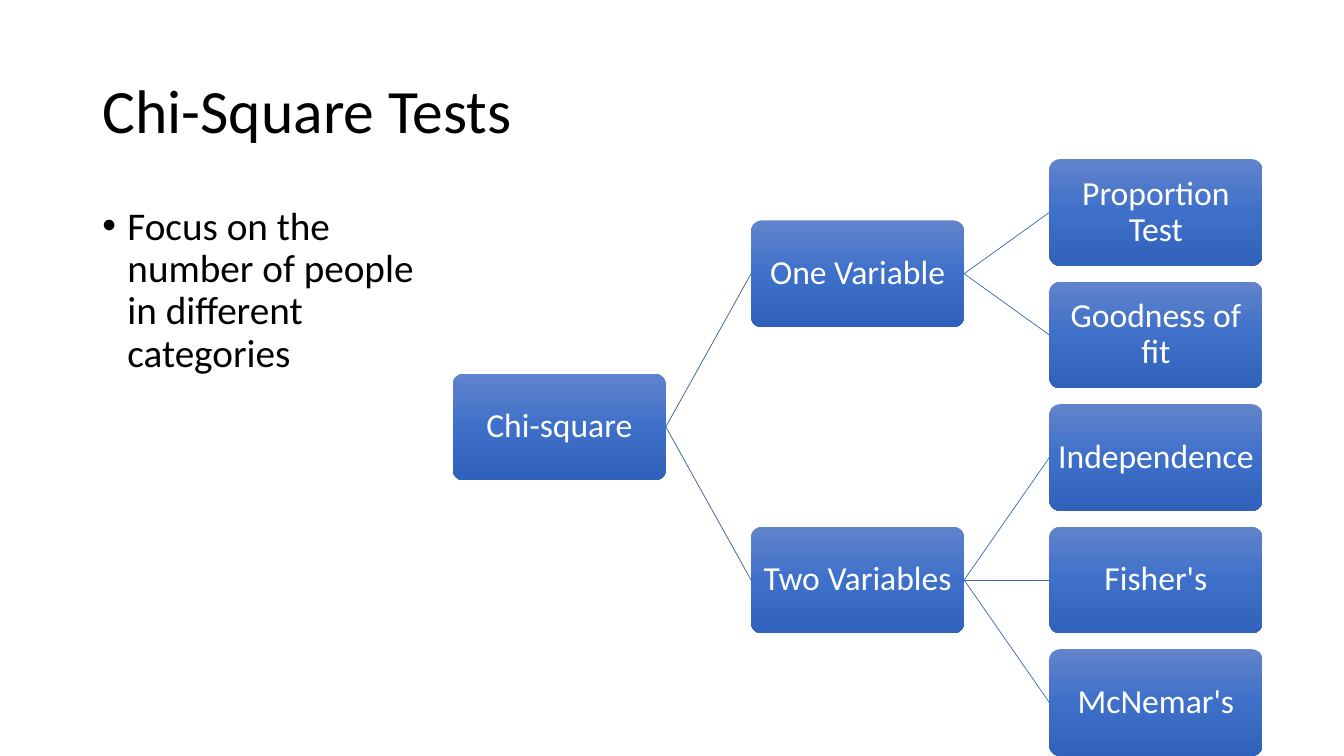
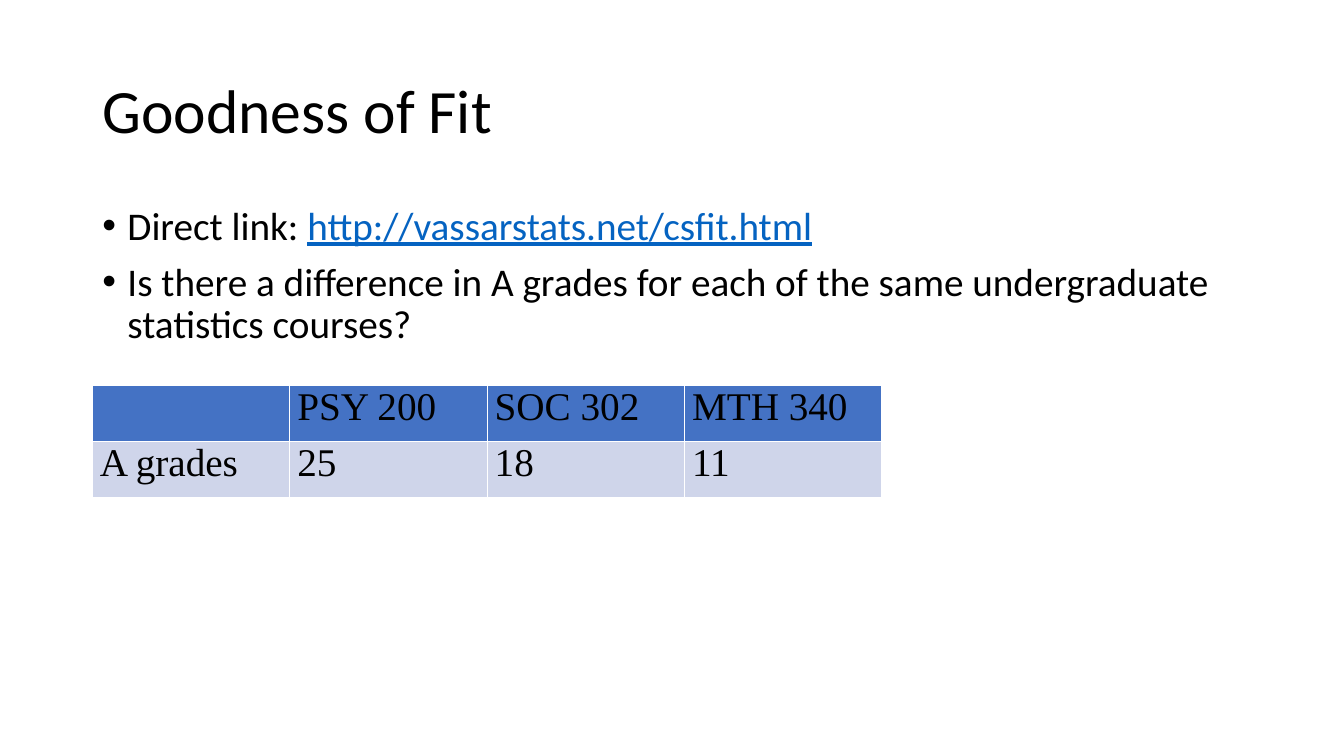
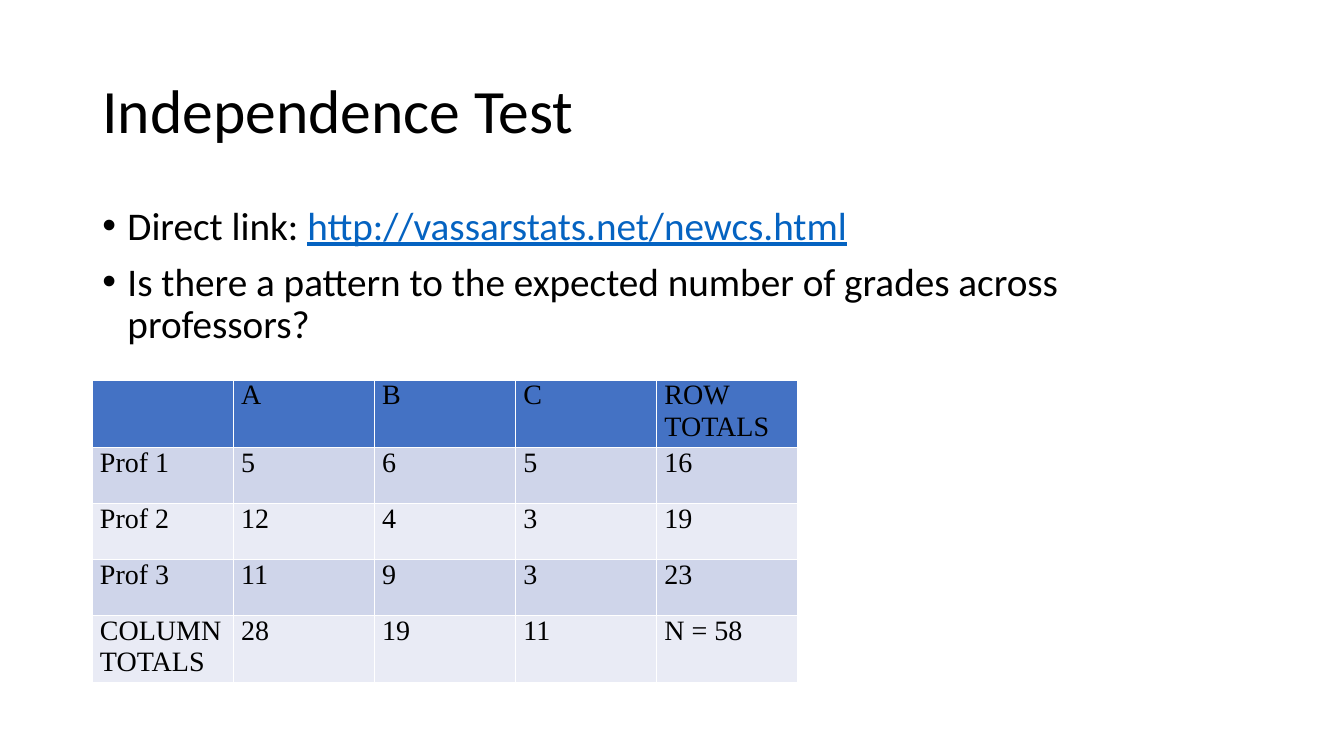
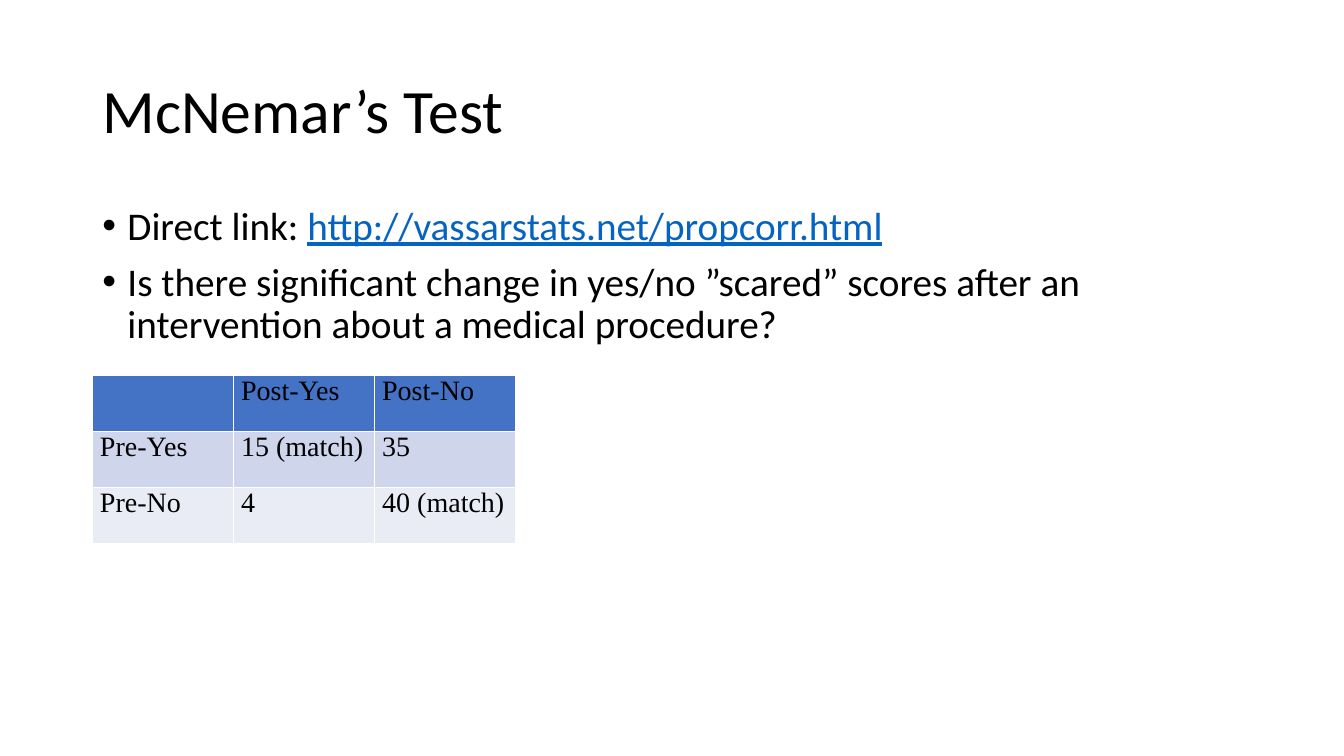
from copy import deepcopy
from dataclasses import dataclass

from lxml.etree import SubElement
from pptx import Presentation
from pptx.dml.color import RGBColor
from pptx.enum.shapes import MSO_CONNECTOR, MSO_SHAPE
from pptx.enum.text import MSO_ANCHOR, MSO_AUTO_SIZE, PP_ALIGN
from pptx.oxml.ns import qn
from pptx.util import Pt


@dataclass(frozen=True)
class Theme:
    text_font: str = "Calibri"
    table_font: str = "Times New Roman"
    title_size: float = 44
    body_size: float = 28
    node_size: float = 24
    black: str = "000000"
    white: str = "FFFFFF"
    link: str = "0563C1"
    header: str = "4472C4"
    bands: tuple = ("CFD5EA", "E9EBF5")
    node_gradient: tuple = ("6183CB", "3E70CA", "3062BB")
    root_line: str = "365B9D"
    leaf_line: str = "3E67B2"
    left: float = 66
    width: float = 828
    line_spacing: float = 0.9


NODE_WIDTH, NODE_HEIGHT = 152.2, 76.1
TREE_LEFT, TREE_TOP = 323.4, 113.7
LEVEL_PITCH = NODE_WIDTH * 1.4
LEAF_PITCH = NODE_HEIGHT * 1.15

TREE = {
    "One Variable": ["Proportion Test", "Goodness of fit"],
    "Two Variables": ["Independence", "Fisher's", "McNemar's"],
}

TEST_SLIDES = [
    dict(
        title="Goodness of Fit",
        address="http://vassarstats.net/csfit.html",
        question="Is there a difference in A grades for each of the same "
                 "undergraduate statistics courses?",
        table=dict(
            rows=[["", "PSY 200", "SOC 302", "MTH 340"],
                  ["A grades", "25", "18", "11"]],
            top=275.2, column_width=141, size=28),
    ),
    dict(
        title="Independence Test",
        address="http://vassarstats.net/newcs.html",
        question="Is there a pattern to the expected number of grades across professors?",
        table=dict(
            rows=[["", "A", "B", "C", "ROW TOTALS"],
                  ["Prof 1", "5", "6", "5", "16"],
                  ["Prof 2", "12", "4", "3", "19"],
                  ["Prof 3", "11", "9", "3", "23"],
                  ["COLUMN TOTALS", "28", "19", "11", "N = 58"]],
            top=271.4, column_width=100.8, size=20),
    ),
    dict(
        title="McNemar’s Test",
        address="http://vassarstats.net/propcorr.html",
        question="Is there significant change in yes/no ”scared” scores after an "
                 "intervention about a medical procedure?",
        table=dict(
            rows=[["", "Post-Yes", "Post-No"],
                  ["Pre-Yes", "15 (match)", "35"],
                  ["Pre-No", "4", "40 (match)"]],
            top=268, column_width=100.8, size=20),
    ),
]


def color(value):
    return RGBColor.from_string(value)


def format_runs(paragraph, name, size, value):
    for run in paragraph.runs:
        run.font.name = name
        run.font.size = Pt(size)
        run.font.bold = False
        run.font.color.rgb = color(value)


def set_margins(box, horizontal, vertical):
    box.margin_left = box.margin_right = Pt(horizontal)
    box.margin_top = box.margin_bottom = Pt(vertical)


class Deck:
    """Holds the theme, the presentation and the slide being filled."""

    def __init__(self, theme):
        self.theme = theme
        self.presentation = Presentation()
        self.presentation.slide_width = Pt(960)
        self.presentation.slide_height = Pt(540)
        self.slide = None

    def add_slide(self, title):
        theme = self.theme
        self.slide = self.presentation.slides.add_slide(self.presentation.slide_layouts[5])
        shape = self.slide.shapes.title
        shape.left, shape.top = Pt(theme.left), Pt(28.75)
        shape.width, shape.height = Pt(theme.width), Pt(104.4)
        frame = shape.text_frame
        frame.text = title
        frame.word_wrap = True
        frame.auto_size = MSO_AUTO_SIZE.NONE
        frame.vertical_anchor = MSO_ANCHOR.MIDDLE
        set_margins(frame, 7.2, 3.6)
        paragraph = frame.paragraphs[0]
        paragraph.alignment = PP_ALIGN.LEFT
        paragraph.line_spacing = theme.line_spacing
        format_runs(paragraph, theme.text_font, theme.title_size, theme.black)

    def add_bullets(self, items, width):
        """Adds bulleted items; returns their paragraphs."""
        theme = self.theme
        box = self.slide.shapes.add_textbox(Pt(theme.left), Pt(143.75), Pt(width), Pt(342.6))
        frame = box.text_frame
        frame.word_wrap = True
        frame.text = "\n".join(items)
        for index, paragraph in enumerate(frame.paragraphs):
            properties = paragraph._p.get_or_add_pPr()
            properties.set("marL", str(Pt(18)))
            properties.set("indent", str(-Pt(18)))
            SubElement(properties, qn("a:buFont"), typeface="Arial")
            SubElement(properties, qn("a:buChar"), char="•")
            paragraph.line_spacing = theme.line_spacing
            paragraph.space_before = Pt(10 if index else 0)
            format_runs(paragraph, theme.text_font, theme.body_size, theme.black)
        return frame.paragraphs

    def add_address(self, paragraph, address):
        theme = self.theme
        run = paragraph.add_run()
        run.text = address
        format_runs(paragraph, theme.text_font, theme.body_size, theme.black)
        run.font.color.rgb = color(theme.link)
        run.font.underline = True

    def add_table(self, rows, top, column_width, size):
        theme = self.theme
        row_height = 40
        column_count = len(rows[0])
        table = self.slide.shapes.add_table(
            len(rows), column_count, Pt(theme.left), Pt(top),
            Pt(column_width * column_count), Pt(row_height * len(rows))).table
        table.first_row = table.horz_banding = False
        for column in table.columns:
            column.width = Pt(column_width)
        for row_index, values in enumerate(rows):
            table.rows[row_index].height = Pt(row_height)
            fill = theme.bands[(row_index - 1) % 2] if row_index else theme.header
            for column_index, value in enumerate(values):
                cell = table.cell(row_index, column_index)
                set_margins(cell, 5.4, 0)
                self.add_borders(cell)
                cell.fill.solid()
                cell.fill.fore_color.rgb = color(fill)
                if value:
                    cell.text = value
                    format_runs(cell.text_frame.paragraphs[0], theme.table_font, size, theme.black)

    def add_borders(self, cell):
        properties = cell._tc.get_or_add_tcPr()
        for side in ("lnL", "lnR", "lnT", "lnB"):
            line = SubElement(properties, qn(f"a:{side}"), w=str(Pt(1)))
            solid = SubElement(line, qn("a:solidFill"))
            SubElement(solid, qn("a:srgbClr"), val=self.theme.white)

    def add_node(self, text, level, position):
        """Adds a tree node; position counts leaf rows from the top."""
        theme = self.theme
        shape = self.slide.shapes.add_shape(
            MSO_SHAPE.ROUNDED_RECTANGLE,
            Pt(TREE_LEFT + level * LEVEL_PITCH), Pt(TREE_TOP + position * LEAF_PITCH),
            Pt(NODE_WIDTH), Pt(NODE_HEIGHT))
        shape.adjustments[0] = 0.1
        shape.shadow.inherit = False
        shape.line.fill.background()
        shape.fill.gradient()
        shape.fill.gradient_angle = 270
        stops = shape.element.spPr.find(f".//{qn('a:gsLst')}")
        stops.insert(1, deepcopy(stops[0]))
        for index, stop in enumerate(shape.fill.gradient_stops):
            stop.position = index / 2
            stop.color.rgb = color(theme.node_gradient[index])
        frame = shape.text_frame
        frame.word_wrap = True
        frame.vertical_anchor = MSO_ANCHOR.MIDDLE
        set_margins(frame, 1.5, 1.5)
        frame.text = text
        paragraph = frame.paragraphs[0]
        paragraph.alignment = PP_ALIGN.CENTER
        paragraph.line_spacing = theme.line_spacing
        format_runs(paragraph, theme.text_font, theme.node_size, theme.white)
        return shape

    def add_branch(self, parent, child, line_color):
        """Joins the right side of parent to the left side of child."""
        connector = self.slide.shapes.add_connector(MSO_CONNECTOR.STRAIGHT, 0, 0, 0, 0)
        connector.begin_connect(parent, 3)
        connector.end_connect(child, 1)
        connector.line.width = Pt(0.5)
        connector.line.color.rgb = color(line_color)
        SubElement(connector.element.spPr, qn("a:effectLst"))

    def add_tree(self, root_text, groups):
        """Adds a three-level tree, each parent centred on its children."""
        branches, centers, first = [], [], 0
        for text, leaves in groups.items():
            center = first + (len(leaves) - 1) / 2
            branch = self.add_node(text, 1, center)
            for offset, leaf_text in enumerate(leaves):
                leaf = self.add_node(leaf_text, 2, first + offset)
                self.add_branch(branch, leaf, self.theme.leaf_line)
            branches.append(branch)
            centers.append(center)
            first += len(leaves)
        root = self.add_node(root_text, 0, sum(centers) / len(centers))
        for branch in branches:
            self.add_branch(root, branch, self.theme.root_line)


def main():
    deck = Deck(Theme())
    deck.add_slide("Chi-Square Tests")
    deck.add_bullets(["Focus on the number of people in different categories"], 237.6)
    deck.add_tree("Chi-square", TREE)
    for content in TEST_SLIDES:
        deck.add_slide(content["title"])
        paragraphs = deck.add_bullets(["Direct link: ", content["question"]], deck.theme.width)
        deck.add_address(paragraphs[0], content["address"])
        deck.add_table(**content["table"])
    deck.presentation.save("out.pptx")


if __name__ == "__main__":
    main()
